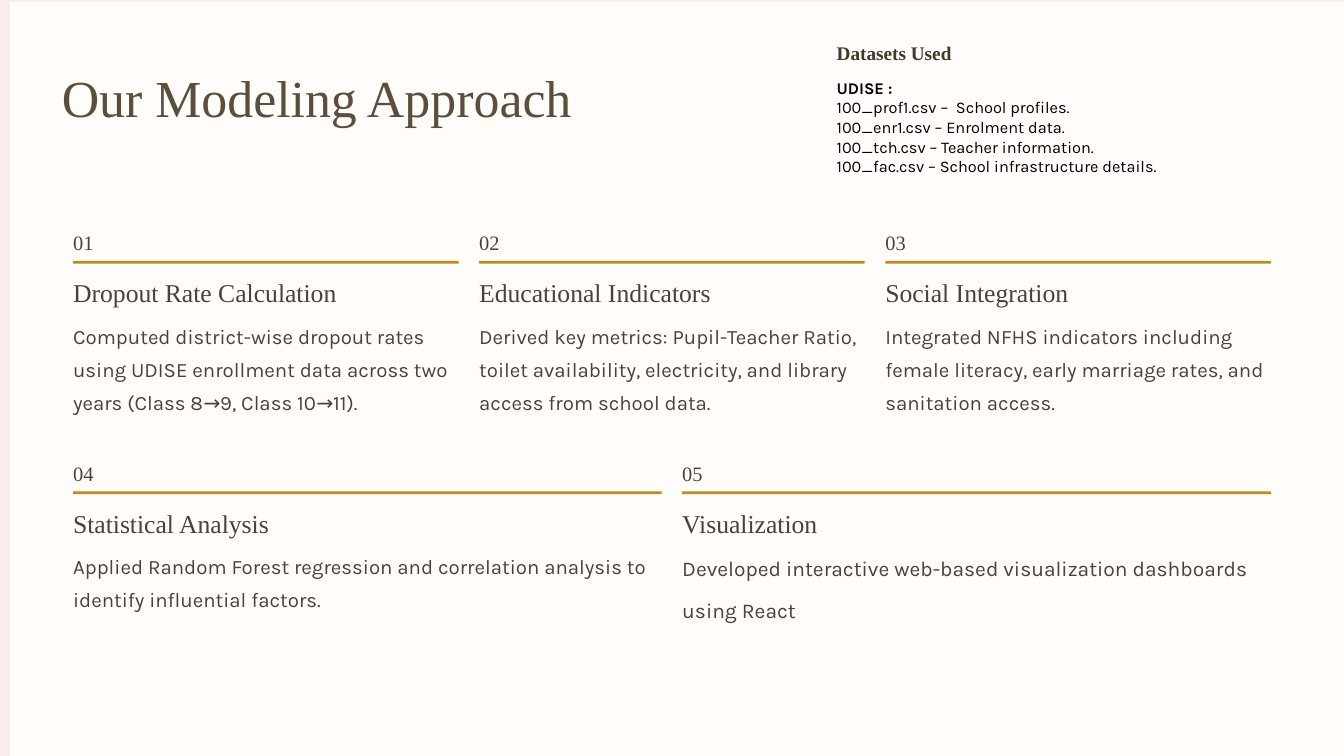
from pptx import Presentation
from pptx.dml.color import RGBColor
from pptx.enum import shapes, text
from pptx.util import Pt

SERIF, SANS = "Times New Roman", "Karla"
INK, GOLD = "454240", "B88E23"
SLIDE_WIDTH, SLIDE_HEIGHT = 1440, 810
LEFT, RIGHT, GAP = 78.3, 1361.7, 22

# Each step: heading, body, and the body's (offset, size, line spacing)
BODY = (100, 21.9, 35.6)
LOOSE_BODY = (93.5, 22.5, 44.5)
ROWS = [
    (237.6, [
        ("Dropout Rate Calculation",
         "Computed district-wise dropout rates using UDISE enrollment data "
         "across two years (Class 8→9, Class 10→11).", BODY),
        ("Educational Indicators",
         "Derived key metrics: Pupil-Teacher Ratio, toilet availability, "
         "electricity, and library access from school data.", BODY),
        ("Social Integration",
         "Integrated NFHS indicators including female literacy, early marriage "
         "rates, and sanitation access.", BODY),
    ]),
    (484.6, [
        ("Statistical Analysis",
         "Applied Random Forest regression and correlation analysis to identify "
         "influential factors.", BODY),
        ("Visualization",
         "Developed interactive web-based visualization dashboards using React",
         LOOSE_BODY),
    ]),
]
DATASETS = [
    "UDISE :",
    "100_prof1.csv –  School profiles.",
    "100_enr1.csv – Enrolment data.",
    "100_tch.csv – Teacher information.",
    "100_fac.csv – School infrastructure details.",
]


def color(value):
    return RGBColor.from_string(value)


def add_rectangle(slide, left, top, width, height, fill):
    shape = slide.shapes.add_shape(
        shapes.MSO_SHAPE.RECTANGLE, Pt(left), Pt(top), Pt(width), Pt(height))
    shape.shadow.inherit = False
    shape.fill.solid()
    shape.fill.fore_color.rgb = color(fill)
    shape.line.fill.background()


def add_text(slide, left, top, width, height, lines, font, size, spacing,
             fill=INK, bold_first=False):
    """Add a text box without insets, one paragraph per line."""
    box = slide.shapes.add_textbox(Pt(left), Pt(top), Pt(width), Pt(height))
    frame = box.text_frame
    frame.word_wrap = True
    frame.auto_size = text.MSO_AUTO_SIZE.SHAPE_TO_FIT_TEXT
    frame.margin_left = frame.margin_right = 0
    frame.margin_top = frame.margin_bottom = 0
    frame.text = "\n".join(lines)
    for index, paragraph in enumerate(frame.paragraphs):
        paragraph.line_spacing = Pt(spacing)
        paragraph.font.name = font
        paragraph.font.size = Pt(size)
        paragraph.font.color.rgb = color(fill)
        paragraph.font.bold = bold_first and index == 0


def add_step(slide, number, left, top, width, heading, body, body_style):
    offset, size, spacing = body_style
    add_text(slide, left, top, 44, 33, [f"{number:02d}"], SERIF, 21.9, 35.6)
    add_rectangle(slide, left, top + 41.8, width, 3, GOLD)
    add_text(slide, left, top + 57.6, width, 37, [heading], SERIF, 27.5, 34.4)
    add_text(slide, left, top + offset, width, 115, [body], SANS, size, spacing)


def add_steps(slide):
    """Spread each row's steps evenly between the margins."""
    number = 1
    for top, steps in ROWS:
        width = (RIGHT - LEFT - GAP * (len(steps) - 1)) / len(steps)
        for column, step in enumerate(steps):
            left = LEFT + column * (width + GAP)
            add_step(slide, number, left, top, width, *step)
            number += 1


def main():
    presentation = Presentation()
    presentation.slide_width = Pt(SLIDE_WIDTH)
    presentation.slide_height = Pt(SLIDE_HEIGHT)
    slide = presentation.slides.add_slide(presentation.slide_layouts[6])
    slide.background.fill.solid()
    slide.background.fill.fore_color.rgb = color("F7EDE9")
    add_rectangle(slide, 10.8, 2.2, SLIDE_WIDTH - 10.8, SLIDE_HEIGHT - 2.2, "FFFCFA")

    add_text(slide, 66.2, 67.7, 700, 72, ["Our Modeling Approach"],
             SERIF, 55.6, 69.4, "5C4E3D")
    add_steps(slide)
    add_text(slide, 896.4, 43.2, 211, 29, ["Datasets Used"],
             SERIF, 20.6, 26.2, "443728", bold_first=True)
    add_text(slide, 896.4, 83.5, 500, 134, DATASETS,
             SANS, 17.5, 21, "000000", bold_first=True)
    presentation.save("out.pptx")


if __name__ == "__main__":
    main()
